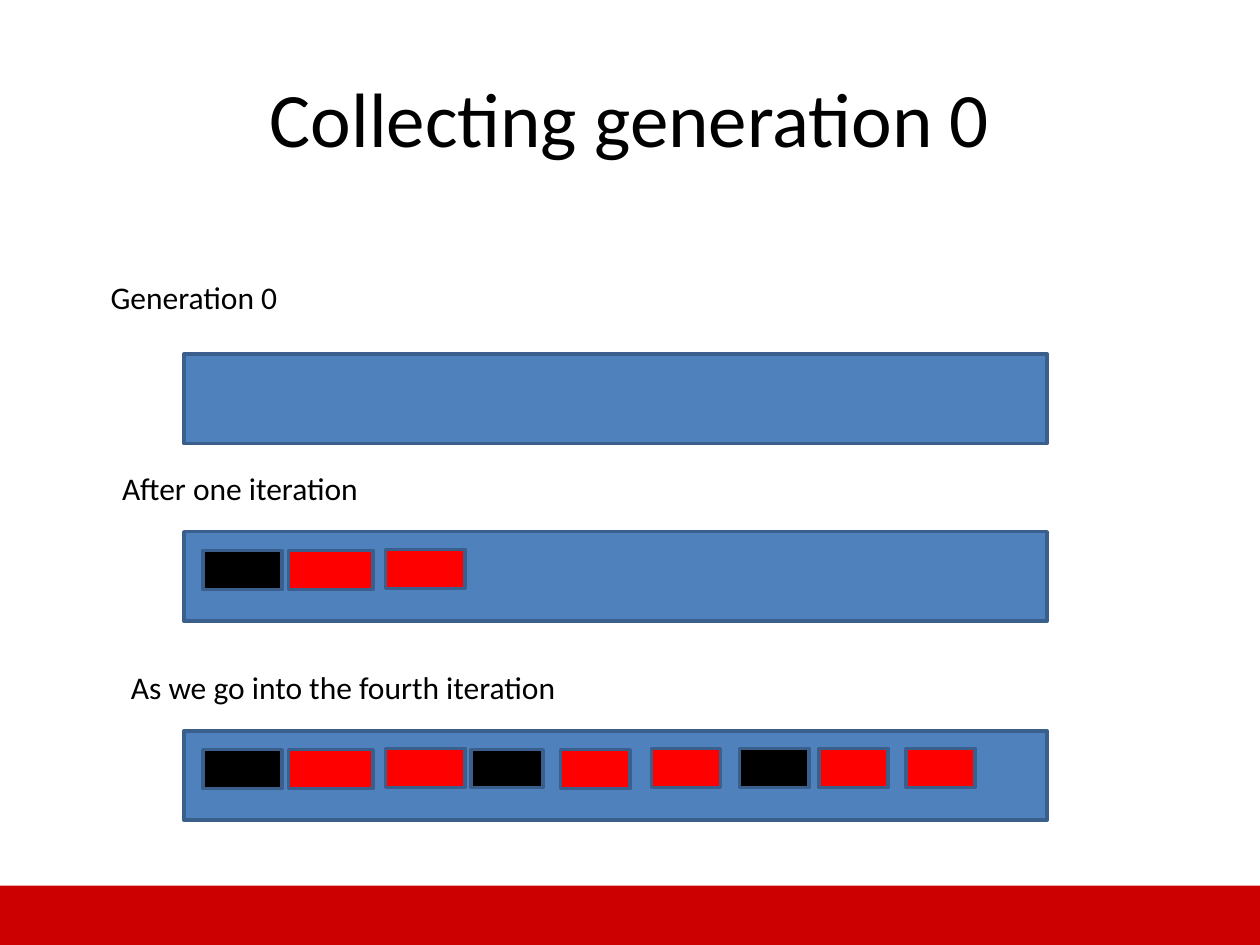
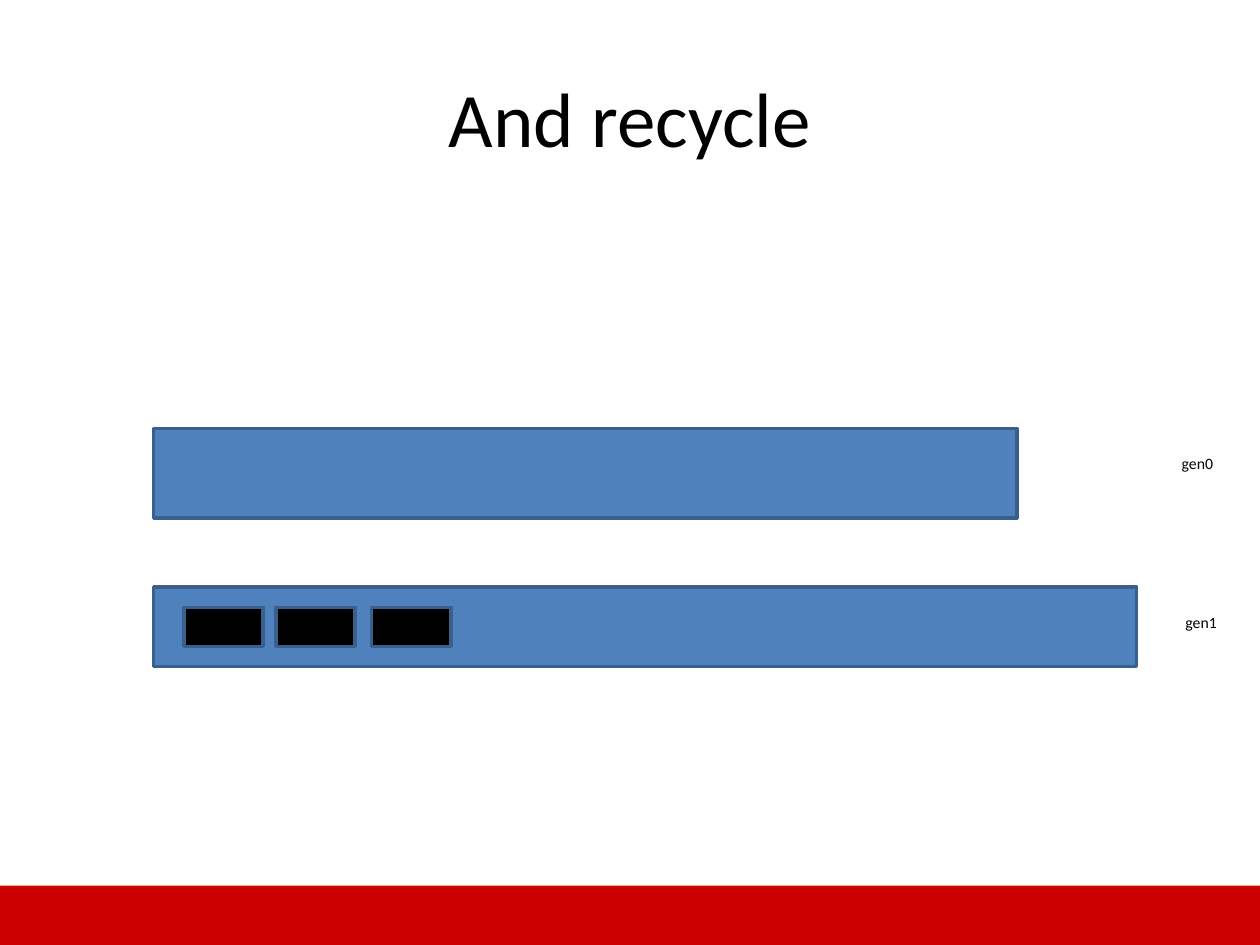
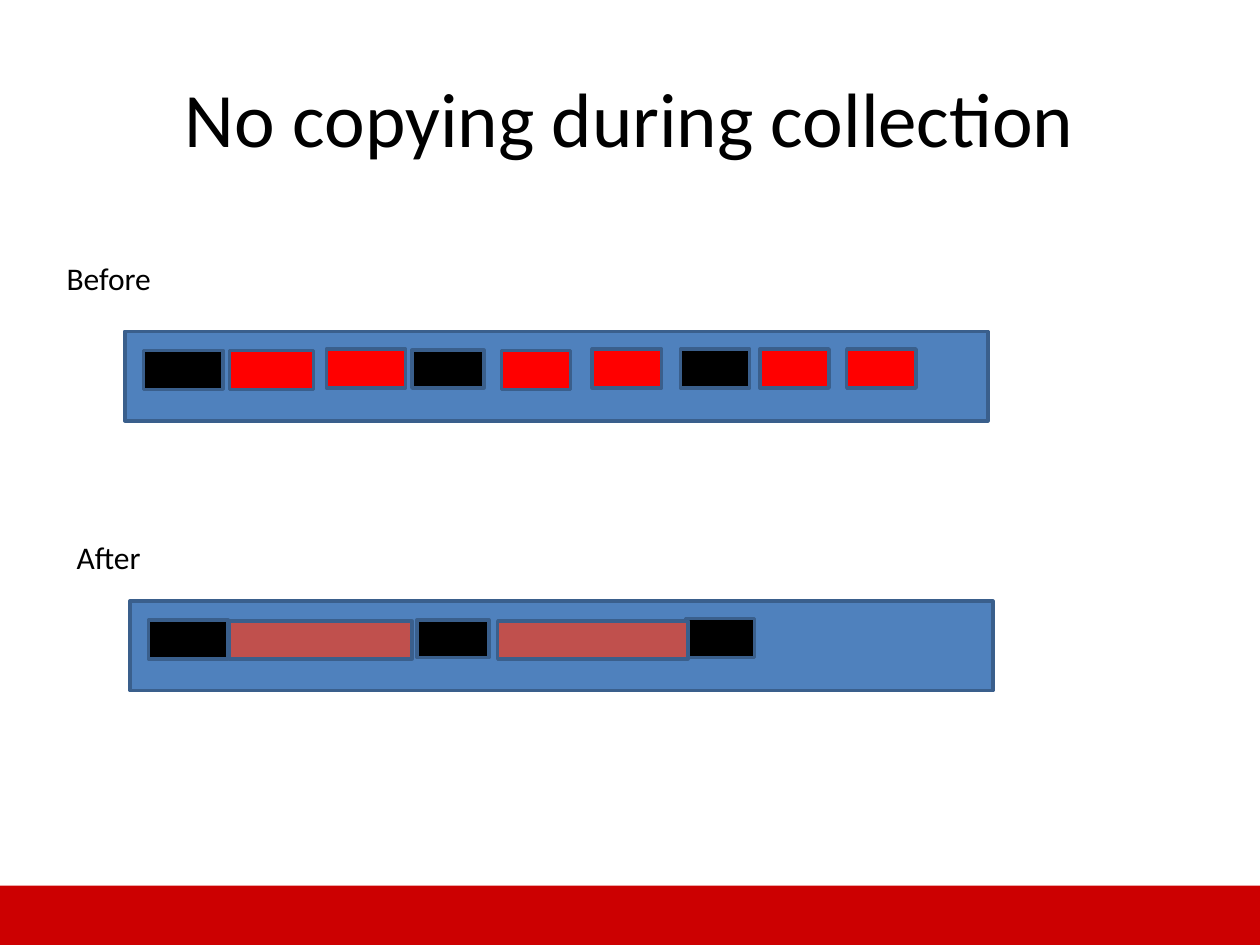
from pptx import Presentation
from pptx.dml.color import RGBColor
from pptx.enum import shapes, text
from pptx.util import Inches, Pt

# Shared look
FONT = "Calibri"
INK = RGBColor(0x00, 0x00, 0x00)
LIVE = INK
DEAD = RGBColor(0xFF, 0x00, 0x00)
FREED = RGBColor(0xC0, 0x50, 0x4D)
HEAP = RGBColor(0x4F, 0x81, 0xBD)
EDGE = RGBColor(0x3A, 0x5F, 0x8C)
BAND = RGBColor(0xCC, 0x00, 0x01)

# Grid of 100 columns by 75 rows
WIDTH, HEIGHT = Inches(10), Inches(7.5)
COLS, ROWS = 100, 75
BAR_W, BAR_H = 68.5, 7.1

# Objects in a heap: column and row inside the bar, width, height, colour
OBJECTS = [
    (1.5, 1.5, 6.3, 3.1, LIVE),
    (8.3, 1.5, 6.7, 3.1, DEAD),
    (16, 1.4, 6.3, 3.1, DEAD),
    (22.8, 1.5, 5.7, 3, LIVE),
    (29.9, 1.5, 5.5, 3.1, DEAD),
    (37.1, 1.4, 5.5, 3.1, DEAD),
    (44.1, 1.4, 5.5, 3.1, LIVE),
    (50.4, 1.4, 5.5, 3.1, DEAD),
    (57.3, 1.4, 5.5, 3.1, DEAD),
]
KEPT = [item for item in OBJECTS if item[-1] == LIVE]
GAPS = [(7.9, 1.6, 14.5, 3, FREED), (29.2, 1.6, 15.1, 3, FREED)]
MOVED = [(x, 1.6, 6.3, 3.1, LIVE) for x in (2.4, 9.7, 17.3)]


def place(x, y, w, h):
    """Turn columns and rows into slide lengths."""
    return (round(x * WIDTH / COLS), round(y * HEIGHT / ROWS),
            round(w * WIDTH / COLS), round(h * HEIGHT / ROWS))


def write(frame, words, size):
    run = frame.paragraphs[0].add_run()
    run.text = words
    run.font.name = FONT
    run.font.size = Pt(size)
    run.font.color.rgb = INK


def rect(owner, x, y, w, h, fill, edge=EDGE):
    box = owner.shapes.add_shape(shapes.MSO_SHAPE.RECTANGLE,
                                 *place(x, y, w, h))
    box.shadow.inherit = False
    box.fill.solid()
    box.fill.fore_color.rgb = fill
    if edge is None:
        box.line.fill.background()
    else:
        box.line.color.rgb = edge
        box.line.width = Pt(2)


def heap(slide, x, y, items=(), w=BAR_W, h=BAR_H):
    """Draw a bar, grouped with the objects it holds."""
    owner = slide.shapes.add_group_shape() if items else slide
    rect(owner, x, y, w, h, HEAP)
    for dx, dy, wide, high, fill in items:
        rect(owner, x + dx, y + dy, wide, high, fill)


def label(slide, words, x, y, w, h=4, size=18):
    box = slide.shapes.add_textbox(*place(x, y, w, h))
    box.text_frame.word_wrap = False
    box.text_frame.auto_size = text.MSO_AUTO_SIZE.SHAPE_TO_FIT_TEXT
    write(box.text_frame, words, size)


def start(deck, words):
    """Add a slide with its title and the footer band."""
    slide = deck.slides.add_slide(deck.slide_layouts[5])
    title = slide.shapes.title
    title.left, title.top, title.width, title.height = place(5, 3, 90, 12.5)
    frame = title.text_frame
    frame.vertical_anchor = text.MSO_ANCHOR.MIDDLE
    frame.paragraphs[0].alignment = text.PP_ALIGN.CENTER
    write(frame, words, 44)
    rect(slide, 0, 70.3, COLS, 4.7, BAND, None)
    return slide


def main():
    deck = Presentation()
    deck.slide_width, deck.slide_height = WIDTH, HEIGHT

    # Heap filling up
    slide = start(deck, "Collecting generation 0")
    label(slide, "Generation 0", 7.8, 21.6, 16.6)
    heap(slide, 14.6, 28.1)
    label(slide, "After one iteration", 8.7, 36.7, 21.9)
    heap(slide, 14.6, 42.2, OBJECTS[:3])
    label(slide, "As we go into the fourth iteration", 9.4, 52.5, 38.2)
    heap(slide, 14.6, 58, OBJECTS)

    # Survivors in the next generation
    slide = start(deck, "And recycle")
    heap(slide, 12.2, 34)
    heap(slide, 12.2, 46.6, MOVED, 78, 6.3)
    label(slide, "gen0", 92.8, 35.5, 4.8, 2.5, 9)
    label(slide, "gen1", 93.1, 48.1, 4.8, 2.5, 9)

    # Space freed in place
    slide = start(deck, "No copying during collection")
    label(slide, "Before", 4.3, 20.1, 9.5)
    heap(slide, 9.9, 26.3, OBJECTS)
    label(slide, "After", 5.1, 42.2, 7.3)
    heap(slide, 10.3, 47.7, KEPT + GAPS)

    deck.save("out.pptx")


if __name__ == "__main__":
    main()
